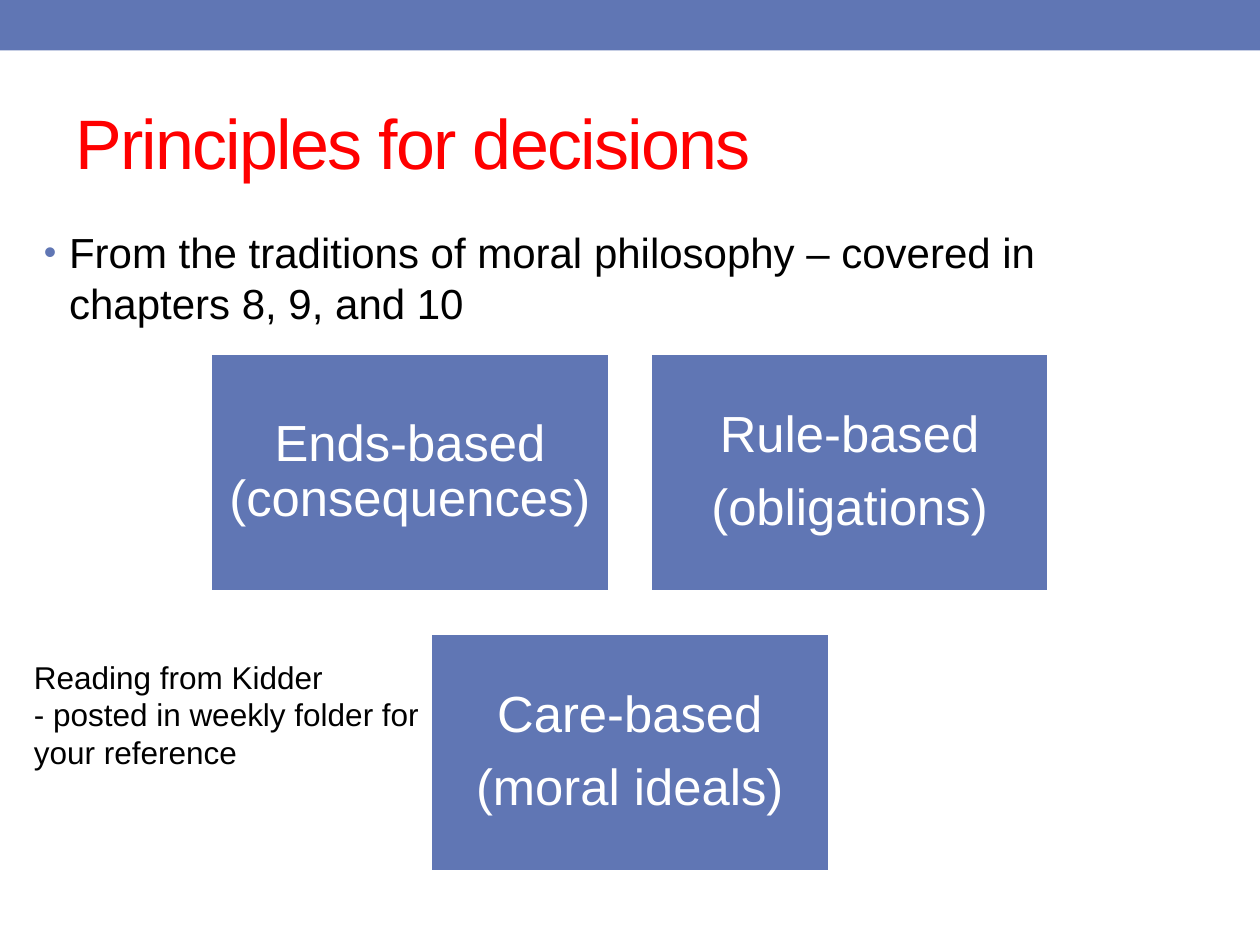
from lxml import etree
from pptx import Presentation
from pptx.dml.color import RGBColor
from pptx.enum import shapes, text
from pptx.oxml import ns
from pptx.util import Pt

ACCENT = "6076B4"
WHITE = "FFFFFF"


def color(value):
    """Turn a hex string into a colour."""
    return RGBColor.from_string(value)


def add_bar(slide, left, top, width, height, outline=None):
    """Add an accent rectangle, outlined if a colour is given."""
    bar = slide.shapes.add_shape(
        shapes.MSO_SHAPE.RECTANGLE, Pt(left), Pt(top), Pt(width), Pt(height))
    bar.shadow.inherit = False
    bar.fill.solid()
    bar.fill.fore_color.rgb = color(ACCENT)
    if outline:
        bar.line.color.rgb = color(outline)
        bar.line.width = Pt(2.08)
    else:
        bar.line.fill.background()
    return bar


def write(holder, lines, size=18, ink="000000", align="LEFT", anchor="TOP",
          inset=None, leading=None, before=0, after=0, tracking=None):
    """Write formatted paragraphs into a shape and return its text frame."""
    frame = holder.text_frame
    frame.word_wrap = True
    frame.vertical_anchor = getattr(text.MSO_ANCHOR, anchor)
    if inset is not None:
        frame.margin_left = frame.margin_right = Pt(inset)
        frame.margin_top = frame.margin_bottom = Pt(inset)
    for index, line in enumerate(lines):
        paragraph = frame.paragraphs[0] if index == 0 else frame.add_paragraph()
        paragraph.alignment = getattr(text.PP_ALIGN, align)
        paragraph.space_before = Pt(before)
        paragraph.space_after = Pt(after)
        if leading:
            paragraph.line_spacing = leading
        run = paragraph.add_run()
        run.text = line
        run.font.name = "Arial"
        run.font.size = Pt(size)
        run.font.color.rgb = color(ink)
        if tracking is not None:
            run.font._element.set("spc", str(round(tracking * 100)))
    return frame


def add_text(slide, left, top, width, height, lines, **style):
    """Add a text box with formatted lines."""
    box = slide.shapes.add_textbox(Pt(left), Pt(top), Pt(width), Pt(height))
    return write(box, lines, **style)


def add_bullet(paragraph, indent):
    """Give a paragraph a hanging accent bullet."""
    props = paragraph._p.get_or_add_pPr()
    props.set("marL", str(Pt(indent)))
    props.set("indent", str(-Pt(indent)))
    tint = etree.SubElement(props, ns.qn("a:buClr"))
    etree.SubElement(tint, ns.qn("a:srgbClr"), val=ACCENT)
    etree.SubElement(props, ns.qn("a:buSzPct"), val="85000")
    etree.SubElement(props, ns.qn("a:buFont"), typeface="Arial")
    etree.SubElement(props, ns.qn("a:buChar"), char="•")


def add_principles(slide):
    """Lay out the principles two to a row, each row centred."""
    width, height, gap, top = 228, 136.8, 23.2, 201.6
    rows = [
        [["Ends-based (consequences)"], ["Rule-based", "(obligations)"]],
        [["Care-based", "(moral ideals)"]],
    ]
    for row, principles in enumerate(rows):
        count = len(principles)
        left = (720 - count * width - (count - 1) * gap) / 2
        for column, lines in enumerate(principles):
            tile = add_bar(slide, left + column * (width + gap),
                           top + row * (height + gap), width, height, WHITE)
            write(tile, lines, size=29, ink=WHITE, align="CENTER",
                  anchor="MIDDLE", inset=8.64, leading=0.9, after=10.15)


def main():
    """Build and save the slide."""
    deck = Presentation()
    deck.slide_width, deck.slide_height = Pt(720), Pt(540)
    slide = deck.slides.add_slide(deck.slide_layouts[6])
    add_bar(slide, 0, 0, 720, 28.8)
    add_text(slide, 36, 41.76, 648, 77.76, ["Principles for decisions"],
             size=40, ink="FF0000", anchor="MIDDLE", tracking=-1)
    traditions = add_text(
        slide, 18, 126, 666, 396,
        ["From the traditions of moral philosophy – covered in chapters 8, 9, and 10"],
        size=24, before=4.8)
    add_bullet(traditions.paragraphs[0], 14.4)
    add_principles(slide)
    add_text(slide, 12.24, 372.24, 243.36, 72.72,
             ["Reading from Kidder", "- posted in weekly folder for your reference"])
    deck.save("out.pptx")


main()
